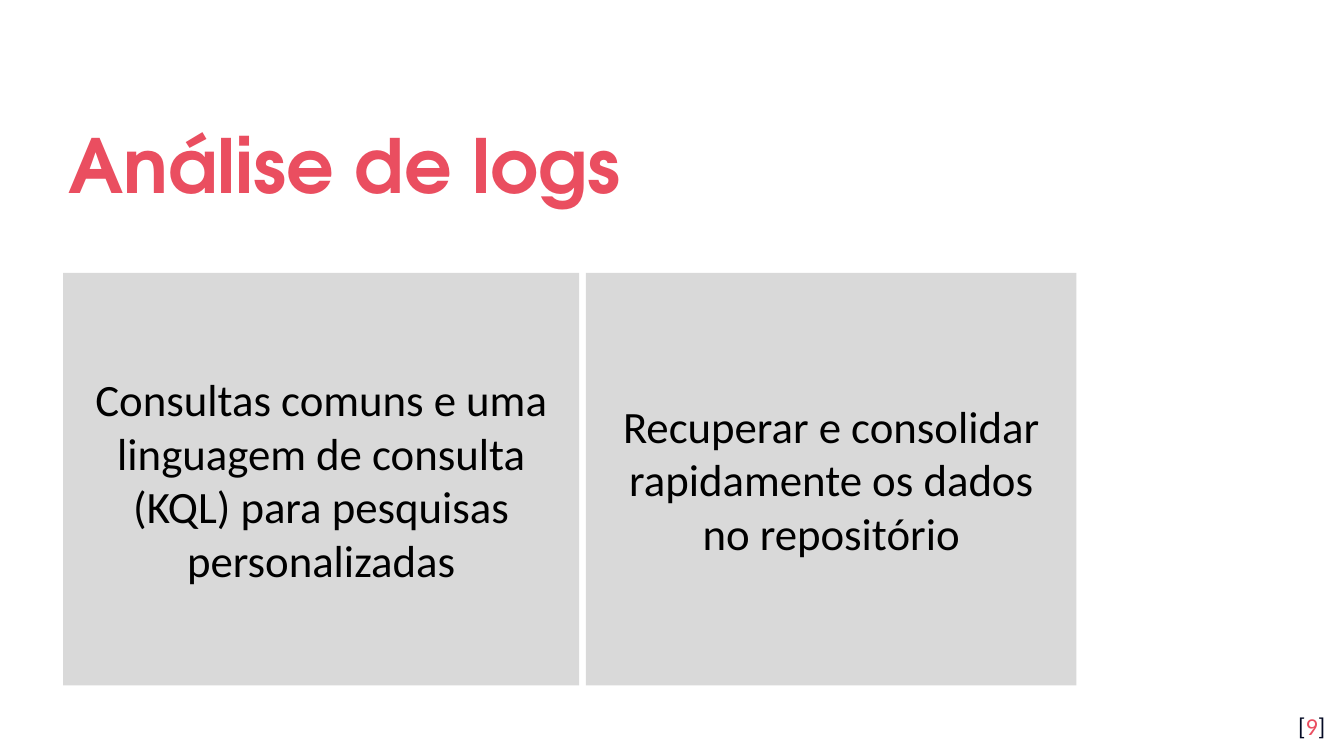
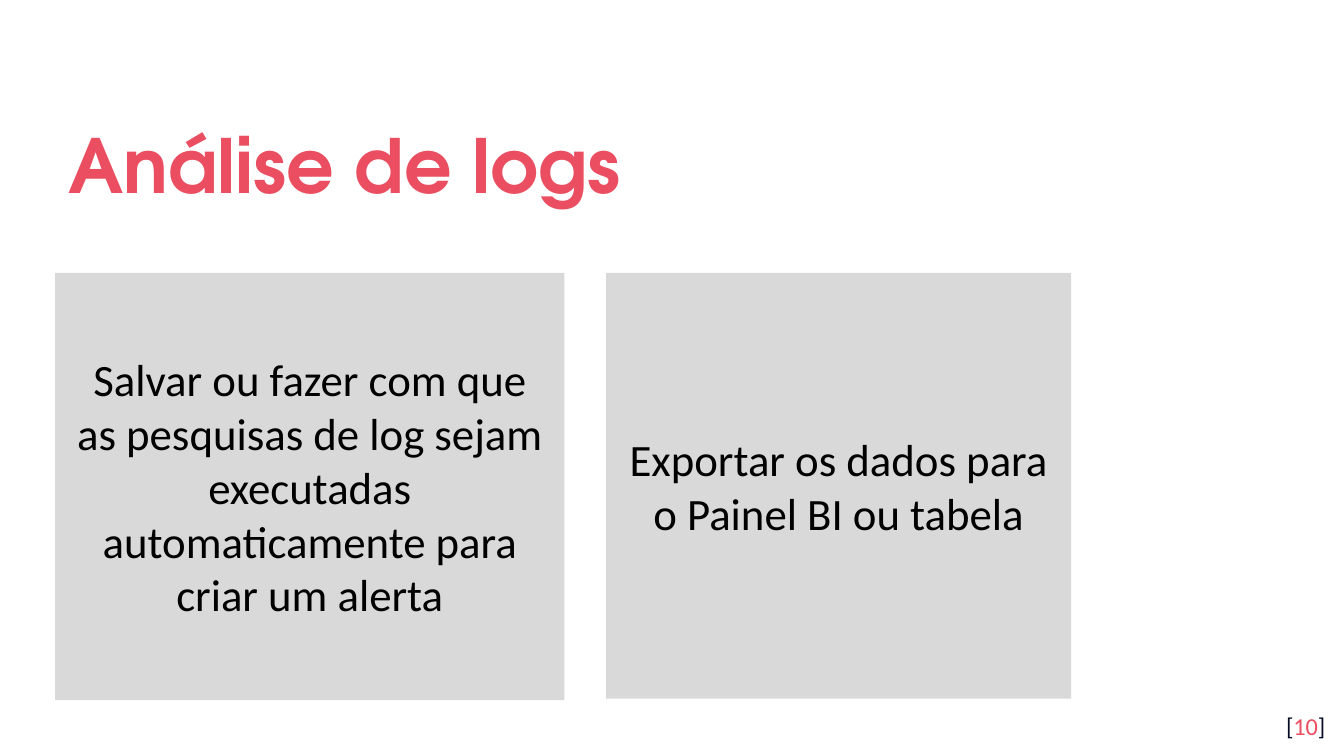
import pptx
import pptx.dml.color
import pptx.enum.shapes
import pptx.enum.text
import pptx.util

Pt = pptx.util.Pt
ALIGN = pptx.enum.text.PP_ALIGN
ANCHOR = pptx.enum.text.MSO_ANCHOR

CARD_TOP = 146.16
TITLE = "Análise de logs"

# Each page: number, then cards as (left, width, height, text)
PAGES = [
    (9, [
        (33.84, 276.48, 221.04,
         "Consultas comuns e uma linguagem de consulta (KQL) "
         "para pesquisas personalizadas"),
        (313.92, 262.8, 221.04,
         "Recuperar e consolidar rapidamente os dados no repositório"),
    ]),
    (10, [
        (29.52, 272.88, 228.96,
         "Salvar ou fazer com que as pesquisas de log sejam executadas "
         "automaticamente para criar um alerta"),
        (324.72, 249.12, 228.24,
         "Exportar os dados para o Painel BI ou tabela"),
    ]),
]


def color(value):
    return pptx.dml.color.RGBColor.from_string(value)


class Slides:
    ACCENT = "EA4E60"
    NAVY = "040A24"
    BLACK = "000000"
    GRAY = "D9D9D9"
    WHITE = "FFFFFF"
    TITLE_FONT = "TeX Gyre Adventor"
    BODY_FONT = "Calibri"

    def __init__(self):
        self.deck = pptx.Presentation()
        self.deck.slide_width = Pt(720)
        self.deck.slide_height = Pt(405)
        self.page = None

    def add_page(self):
        self.page = self.deck.slides.add_slide(self.deck.slide_layouts[5])
        background = self.page.background.fill
        background.solid()
        background.fore_color.rgb = color(self.WHITE)

    def set_frame(self, box, anchor, side=7.2):
        """Wrap the text of a box, with equal side insets, and return its frame."""
        frame = box.text_frame
        frame.word_wrap = True
        frame.auto_size = pptx.enum.text.MSO_AUTO_SIZE.NONE
        frame.vertical_anchor = anchor
        frame.margin_left = frame.margin_right = Pt(side)
        frame.margin_top = frame.margin_bottom = Pt(7.2)
        return frame

    def style(self, span, font, size, hue, bold=False):
        span.font.name = font
        span.font.size = Pt(size)
        span.font.bold = bold
        span.font.color.rgb = color(hue)

    def title(self, text):
        box = self.page.shapes.title
        box.left, box.top, box.width, box.height = (
            Pt(29.52), Pt(51.12), Pt(666), Pt(66.24))
        frame = self.set_frame(box, ANCHOR.MIDDLE)
        frame.text = text
        para = frame.paragraphs[0]
        para.alignment = ALIGN.LEFT
        para.line_spacing = 1.15
        self.style(para.runs[0], self.TITLE_FONT, 40, self.ACCENT, True)

    def page_number(self, number):
        box = self.page.shapes.add_textbox(
            Pt(673.92), Pt(373.68), Pt(43.2), Pt(30.96))
        para = self.set_frame(box, ANCHOR.TOP).paragraphs[0]
        para.alignment = ALIGN.RIGHT
        for text, hue in (("[", self.NAVY), (str(number), self.ACCENT),
                          ("]", self.NAVY)):
            span = para.add_run()
            span.text = text
            self.style(span, self.BODY_FONT, 13, hue)

    def card(self, left, width, height, text):
        box = self.page.shapes.add_shape(
            pptx.enum.shapes.MSO_SHAPE.RECTANGLE,
            Pt(left), Pt(CARD_TOP), Pt(width), Pt(height))
        box.shadow.inherit = False
        box.fill.solid()
        box.fill.fore_color.rgb = color(self.GRAY)
        box.line.fill.background()
        frame = self.set_frame(box, ANCHOR.MIDDLE, side=10.8)
        frame.text = text
        para = frame.paragraphs[0]
        para.alignment = ALIGN.CENTER
        self.style(para.runs[0], self.BODY_FONT, 24, self.BLACK)


def main():
    slides = Slides()
    for number, cards in PAGES:
        slides.add_page()
        slides.title(TITLE)
        slides.page_number(number)
        for card in cards:
            slides.card(*card)
    slides.deck.save("out.pptx")


if __name__ == "__main__":
    main()
